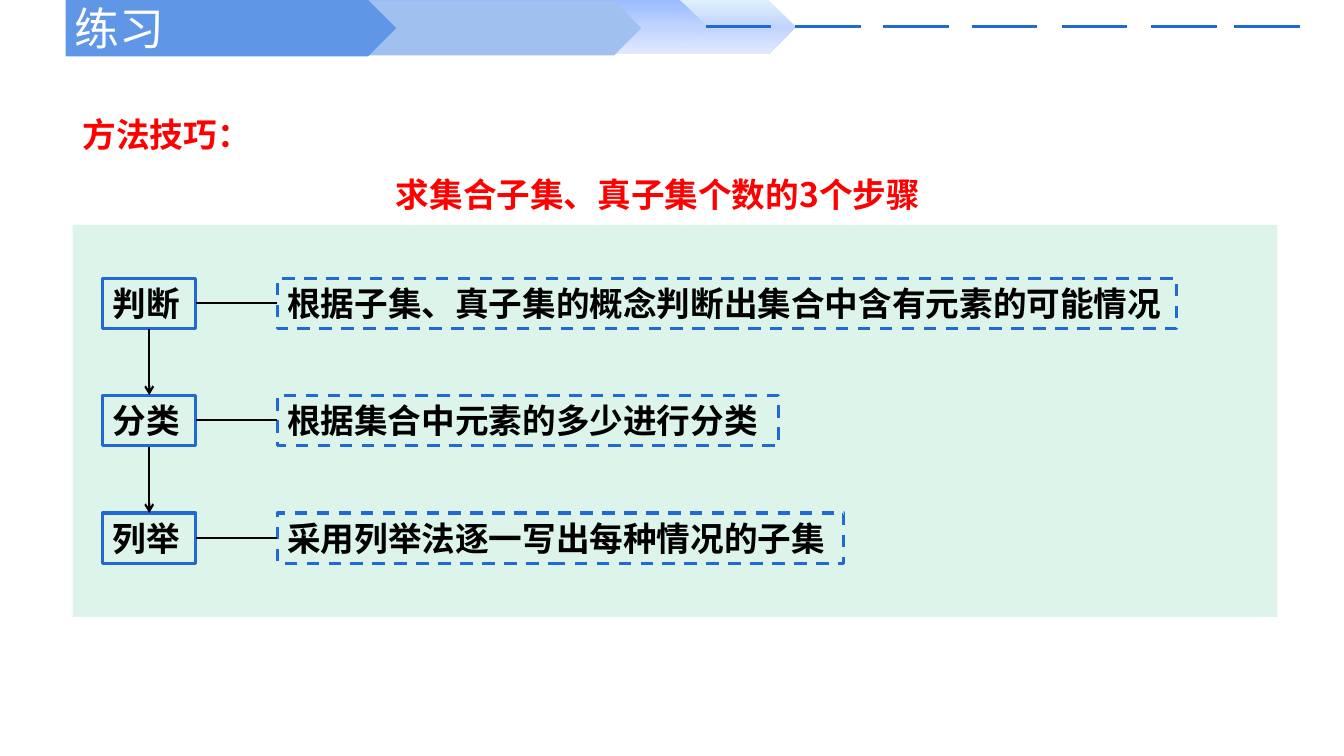
from copy import deepcopy

from lxml.etree import SubElement
from pptx import Presentation
from pptx.dml.color import RGBColor
from pptx.enum.dml import MSO_LINE
from pptx.enum.shapes import MSO_CONNECTOR, MSO_SHAPE
from pptx.enum.text import MSO_ANCHOR, MSO_AUTO_SIZE, PP_ALIGN
from pptx.oxml.ns import qn
from pptx.util import Emu, Pt

PX = 9144  # 100 px to the inch
FONT = "Noto Sans CJK SC"
COLORS = {
    "blue": "2169D3", "mint": "DDF4EA", "red": "FF0000", "black": "000000",
    "white": "FFFFFF", "mid": "A0C0F0", "head": "6096E6",
    "ice": "DEF0FA", "sky": "99BBFF", "pale": "C1D4FF", "mist": "E0E9FF",
}
BANNER = [
    (420, 0, 369, 54, ("ice", "pale", "mist")),
    (304, 0, 397, 54, ("sky", "pale", "mist")),
    (188, 1, 448, 54, ("mid",)),
    (65, 0, 328, 56, ("head",)),
]
DASHES = [700, 789, 876, 964, 1053, 1142, 1224]
STEPS = [
    ("判断", "根据子集、真子集的概念判断出集合中含有元素的可能情况", 892),
    ("分类", "根据集合中元素的多少进行分类", 497),
    ("列举", "采用列举法逐一写出每种情况的子集", 562),
]
TIPS = [("方法技巧：", PP_ALIGN.LEFT), ("求集合子集、真子集个数的3个步骤", PP_ALIGN.CENTER)]


def rgb(name):
    return RGBColor.from_string(COLORS[name])


def place(shape, *box):
    shape.left, shape.top, shape.width, shape.height = (Emu(n * PX) for n in box)


def style(para, size, color, bold, align=PP_ALIGN.LEFT):
    para.alignment = align
    for run in para.runs:
        font = run.font
        font.size, font.bold, font.name = Pt(size), bold, FONT
        font.color.rgb = rgb(color)
        SubElement(font._element, qn("a:ea"), typeface=FONT)


def fill(shape, names):
    """Fill with one colour, or with three blended from top to bottom."""
    if len(names) == 1:
        shape.fill.solid()
        shape.fill.fore_color.rgb = rgb(names[0])
        return
    shape.fill.gradient()
    shape.fill.gradient_angle = 270
    stops = shape.element.find(".//" + qn("a:gsLst"))
    stops.insert(1, deepcopy(stops[0]))
    for stop, name, spot in zip(shape.fill.gradient_stops, names, (0, 0.5, 1)):
        stop.color.rgb = rgb(name)
        stop.position = spot


def block(slide, kind, box, names):
    shape = slide.shapes.add_shape(kind, *(Emu(n * PX) for n in box))
    shape.shadow.inherit = False
    shape.line.fill.background()
    fill(shape, names)
    return shape


def line(slide, ends, color, width, arrow=False):
    link = slide.shapes.add_connector(
        MSO_CONNECTOR.STRAIGHT, *(Emu(n * PX) for n in ends))
    link.line.color.rgb = rgb(color)
    link.line.width = Pt(width)
    if arrow:
        SubElement(link.line._get_or_add_ln(), qn("a:tailEnd"), type="arrow")
    SubElement(link.element.spPr, qn("a:effectLst"))


def frame(slide, box, text, dashed=False):
    """Outlined box with one line of bold text."""
    shape = slide.shapes.add_shape(
        MSO_SHAPE.RECTANGLE, *(Emu(n * PX) for n in box))
    shape.shadow.inherit = False
    shape.fill.background()
    shape.line.color.rgb = rgb("blue")
    shape.line.width = Pt(2.25)
    if dashed:
        shape.line.dash_style = MSO_LINE.DASH
    shape.text_frame.text = text
    style(shape.text_frame.paragraphs[0], 24, "black", True)


def head(slide):
    for *box, names in BANNER:
        last = block(slide, MSO_SHAPE.PENTAGON, box, names)
    title = slide.shapes.title
    last.element.addnext(title.element)
    place(title, 64, -5, 774, 64)
    title.text_frame.text = "练习"
    title.text_frame.auto_size = MSO_AUTO_SIZE.NONE
    title.text_frame.vertical_anchor = MSO_ANCHOR.MIDDLE
    style(title.text_frame.paragraphs[0], 32, "white", False)
    for x in DASHES:
        line(slide, (x, 26, x + 65, 26), "blue", 2)


def tips(slide, panel):
    body = slide.placeholders[1]
    panel.element.addnext(body.element)
    place(body, 72, 88, 1161, 192)
    area = body.text_frame
    area.text = "\n".join(text for text, _ in TIPS)
    area.auto_size = MSO_AUTO_SIZE.NONE
    for para, (_, align) in zip(area.paragraphs, TIPS):
        props = para._p.get_or_add_pPr()
        props.set("marL", "0")
        props.set("indent", "0")
        SubElement(props, qn("a:buNone"))
        para.line_spacing = 1.5
        para.space_before = Pt(0)
        style(para, 24, "red", True, align)


def steps(slide):
    for i, (name, text, width) in enumerate(STEPS):
        top = 276 + i * 233 // 2
        mid = top + 25
        frame(slide, (102, top, 92, 50), name)
        frame(slide, (275, top, width, 50), text, True)
        line(slide, (194, mid, 275, mid), "black", 1.5)
        if i:
            line(slide, (148, top - 66, 148, top), "black", 1.5, True)


def main():
    deck = Presentation()
    deck.slide_width, deck.slide_height = Emu(1333 * PX), Emu(750 * PX)
    slide = deck.slides.add_slide(deck.slide_layouts[1])
    panel = block(slide, MSO_SHAPE.RECTANGLE, (72, 223, 1195, 389), ("mint",))
    head(slide)
    tips(slide, panel)
    steps(slide)
    deck.save("out.pptx")


if __name__ == "__main__":
    main()
